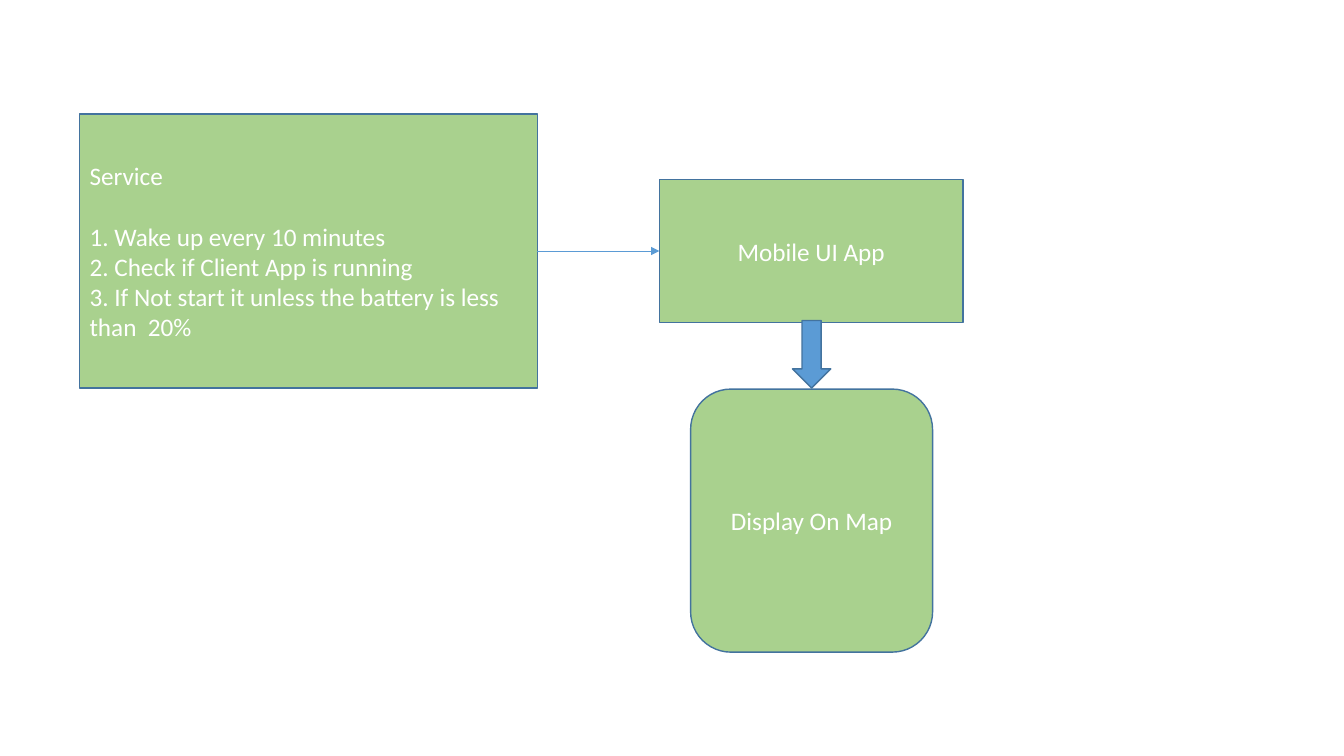
from lxml.etree import SubElement
from pptx import Presentation
from pptx.dml.color import RGBColor
from pptx.enum.shapes import MSO_CONNECTOR as LINK, MSO_SHAPE as SHAPE
from pptx.enum.text import MSO_ANCHOR as ANCHOR, PP_ALIGN as ALIGN
from pptx.oxml.ns import qn
from pptx.util import Inches, Pt

GREEN = RGBColor(0xA9, 0xD1, 0x8E)
BLUE = RGBColor(0x5B, 0x9B, 0xD5)
EDGE = RGBColor(0x43, 0x73, 0x9E)
WHITE = RGBColor(0xFF, 0xFF, 0xFF)

STEPS = [
    "Service",
    "1. Wake up every 10 minutes",
    "2. Check if Client App is running",
    "3. If Not start it unless the battery is less than  20%",
]

deck = Presentation()
deck.slide_width = Inches(13.33)
deck.slide_height = Inches(7.5)
slide = deck.slides.add_slide(deck.slide_layouts[6])


def add_box(kind, place, fill, lines=(), align=ALIGN.CENTER):
    box = slide.shapes.add_shape(kind, *map(Inches, place))
    box.shadow.inherit = False
    box.fill.solid()
    box.fill.fore_color.rgb = fill
    box.line.color.rgb = EDGE
    box.line.width = Pt(1)
    frame = box.text_frame
    frame.word_wrap = True
    frame.vertical_anchor = ANCHOR.MIDDLE
    for i, line in enumerate(lines):
        para = frame.add_paragraph() if i else frame.paragraphs[0]
        para.text = line
        para.alignment = align
        para.font.name = "Calibri"
        para.font.size = Pt(18)
        para.font.color.rgb = WHITE
    return box


service = add_box(SHAPE.RECTANGLE, (0.79, 1.13, 4.54, 2.72), GREEN, STEPS, ALIGN.LEFT)
service.text_frame.paragraphs[0].space_after = Pt(22)
mobile = add_box(SHAPE.RECTANGLE, (6.54, 1.78, 3.01, 1.42), GREEN, ["Mobile UI App"])
add_box(SHAPE.ROUNDED_RECTANGLE, (6.85, 3.86, 2.4, 2.61), GREEN, ["Display On Map"])
add_box(SHAPE.DOWN_ARROW, (7.86, 3.18, 0.38, 0.67), BLUE)

link = slide.shapes.add_connector(LINK.STRAIGHT, 0, 0, 0, 0)
link.begin_connect(service, 3)
link.end_connect(mobile, 1)
link.line.color.rgb = BLUE
link.line.width = Pt(0.5)
props = link._element.spPr
SubElement(props.find(qn("a:ln")), qn("a:tailEnd"), type="triangle")
SubElement(props, qn("a:effectLst"))

deck.save("out.pptx")
